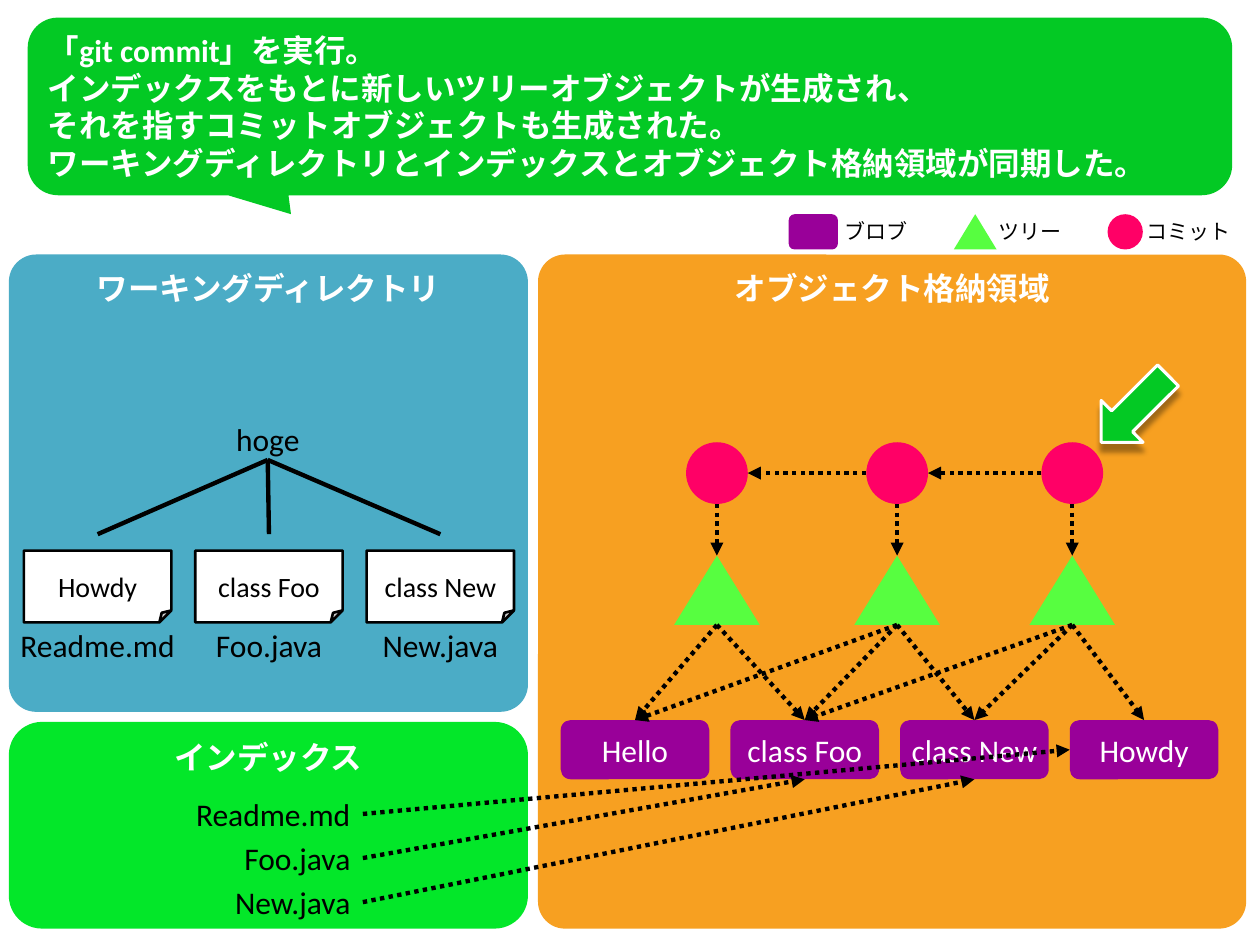
from dataclasses import dataclass
from math import cos, pi, sin
from typing import NamedTuple

from lxml.etree import SubElement
from pptx import Presentation
from pptx.dml.color import RGBColor
from pptx.enum.dml import MSO_LINE
from pptx.enum.shapes import MSO_CONNECTOR, MSO_SHAPE
from pptx.enum.text import MSO_ANCHOR, MSO_AUTO_SIZE, PP_ALIGN
from pptx.oxml.ns import qn
from pptx.util import Emu, Inches, Pt


@dataclass(frozen=True)
class Theme:
    latin: str = "Calibri"
    kana: str = "Noto Sans CJK JP"
    head: int = 18
    note: int = 16
    key: int = 12
    stroke: float = 2.5
    ink: str = "000000"
    paper: str = "FFFFFF"
    call: str = "03C924"
    index: str = "03E729"
    work: str = "4BACC6"
    store: str = "F7A021"
    chip: str = "990099"
    tree: str = "57FE40"
    commit: str = "FF0066"


class Box(NamedTuple):
    x: float
    y: float
    w: float
    h: float


class Panel(NamedTuple):
    text: str
    box: Box
    fill: str
    bend: float


class Key(NamedTuple):
    text: str
    kind: MSO_SHAPE
    fill: str
    icon: Box
    label: Box


THEME = Theme()
deck = Presentation()
deck.slide_width, deck.slide_height = Inches(10), Inches(7.5)
slide = deck.slides.add_slide(deck.slide_layouts[5])
shapes = slide.shapes

# The slide is a grid of 100 columns and 75 rows
COL, ROW = deck.slide_width / 100, deck.slide_height / 75


def cols(n: float) -> Emu:
    return Emu(round(n * COL))


def rows(n: float) -> Emu:
    return Emu(round(n * ROW))


def place(box: Box) -> tuple:
    return cols(box.x), rows(box.y), cols(box.w), rows(box.h)


def tint(hue: str) -> RGBColor:
    return RGBColor.from_string(hue)


def write(par, text: str, size: int, hue: str, bold: bool = False) -> None:
    run = par.add_run()
    run.text = text
    face = THEME.latin if text.isascii() else THEME.kana
    font = run.font
    font.size, font.bold, font.name = Pt(size), bold, face
    font.color.rgb = tint(hue)
    SubElement(font._element, qn("a:ea")).set("typeface", face)


def setup(frame, side: float, anchor=MSO_ANCHOR.MIDDLE) -> None:
    frame.word_wrap, frame.auto_size = True, MSO_AUTO_SIZE.NONE
    frame.vertical_anchor = anchor
    frame.margin_left = frame.margin_right = cols(side)
    frame.margin_top = frame.margin_bottom = rows(0.5)


def paint(shape, fill: str):
    shape.shadow.inherit = False
    shape.fill.solid()
    shape.fill.fore_color.rgb = tint(fill)
    shape.line.fill.background()
    return shape


def draw(kind: MSO_SHAPE, box: Box, fill: str, edge: str = "", width: float = 0):
    shape = paint(shapes.add_shape(kind, *place(box)), fill)
    if edge:
        shape.line.color.rgb, shape.line.width = tint(edge), Pt(width)
    return shape


def label(text: str, box: Box, size: int = THEME.head,
          align=PP_ALIGN.CENTER, side: float = 0):
    shape = shapes.add_textbox(*place(box))
    setup(shape.text_frame, side)
    par = shape.text_frame.paragraphs[0]
    par.alignment = align
    write(par, text, size, THEME.ink)
    return shape


def link(start: tuple, end: tuple, arrow: bool = True):
    line = shapes.add_connector(MSO_CONNECTOR.STRAIGHT, cols(start[0]), rows(start[1]),
                                cols(end[0]), rows(end[1]))
    line.line.color.rgb, line.line.width = tint(THEME.ink), Pt(THEME.stroke)
    props = line._element.spPr
    if arrow:
        line.line.dash_style = MSO_LINE.ROUND_DOT
        SubElement(props.find(qn("a:ln")), qn("a:tailEnd")).set("type", "triangle")
    SubElement(props, qn("a:effectLst"))
    return line


def bubble(box: Box, curve: float, tail: list, steps: int = 12):
    """Rounded outline with a tail on its lower side."""
    right, base = box.x + box.w - curve, box.y + box.h - curve
    left, top = box.x + curve, box.y + curve
    dots = []
    for turn, (x, y) in enumerate([(right, base), (left, base), (left, top), (right, top)]):
        for step in range(steps + 1):
            angle = (turn + step / steps) * pi / 2
            dots.append((x + curve * cos(angle), y + curve * sin(angle)))
        if turn == 0:
            dots += tail
    spots = [(cols(x), rows(y)) for x, y in dots]
    pen = shapes.build_freeform(*spots[0])
    pen.add_line_segments(spots[1:])
    return paint(pen.convert_to_shape(), THEME.call)


# Callout, with the slide title on top of it
call = Box(2.2, 1.4, 95.6, 14.1)
bubble(call, 2.4, [(22.9, 15.5), (23.1, 17), (18.1, 15.5)])
title = shapes.title
title.left, title.top, title.width, title.height = place(call)
setup(title.text_frame, 1.6)
LINES = [
    ["「", "git commit", "」を実行。"],
    ["インデックスをもとに新しいツリーオブジェクトが生成され、"],
    ["それを指すコミットオブジェクトも生成された。"],
    ["ワーキングディレクトリとインデックスとオブジェクト格納領域が同期した。"],
]
for i, parts in enumerate(LINES):
    par = title.text_frame.add_paragraph() if i else title.text_frame.paragraphs[0]
    par.alignment = PP_ALIGN.LEFT
    for part in parts:
        write(par, part, THEME.head, THEME.paper, True)
shapes._spTree.append(title._element)

# Panels
for panel in [
    Panel("インデックス", Box(0.7, 57.3, 41.2, 16.4), THEME.index, 0.16),
    Panel("ワーキングディレクトリ", Box(0.7, 20.2, 41.2, 36.3), THEME.work, 0.06),
    Panel("オブジェクト格納領域", Box(42.7, 20.2, 56.2, 53.5), THEME.store, 0.04),
]:
    shape = draw(MSO_SHAPE.ROUNDED_RECTANGLE, panel.box, panel.fill)
    shape.adjustments[0] = panel.bend
    setup(shape.text_frame, 1, MSO_ANCHOR.TOP)
    par = shape.text_frame.paragraphs[0]
    par.alignment = PP_ALIGN.CENTER
    write(par, panel.text, THEME.head, THEME.paper, True)

# Legend
for key in [
    Key("ブロブ", MSO_SHAPE.ROUNDED_RECTANGLE, THEME.chip,
        Box(62.6, 17, 3.9, 2.8), Box(66, 16.8, 7.1, 3.1)),
    Key("ツリー", MSO_SHAPE.ISOSCELES_TRIANGLE, THEME.tree,
        Box(75.7, 17, 3.4, 2.8), Box(78.2, 16.8, 7.1, 3.1)),
    Key("コミット", MSO_SHAPE.OVAL, THEME.commit,
        Box(87.9, 17, 2.8, 2.8), Box(89.6, 16.8, 9.5, 3.1)),
]:
    draw(key.kind, key.icon, key.fill)
    label(key.text, key.label, THEME.key)

# Working directory: root folder and its files
FILES = [("Readme.md", "Howdy"), ("Foo.java", "class Foo"), ("New.java", "class New")]
root = label("hoge", Box(16, 33.2, 10.5, 3.3))
for i, (name, body) in enumerate(FILES):
    page = Box(1.9 + 13.6 * i, 43.7, 11.7, 5.7)
    draw(MSO_SHAPE.FOLDED_CORNER, page, THEME.paper, THEME.ink, 1.5)
    label(body, page, THEME.note)
    label(name, Box(page.x - 1, 49.6, page.w + 2, 3.1))
    link((21.3, 36.5), (page.x + page.w / 2, 42.4), False).begin_connect(root, 2)

# Stored file contents
chips = []
for i, text in enumerate(["Hello", "class Foo", "class New", "Howdy"]):
    chip = draw(MSO_SHAPE.ROUNDED_RECTANGLE,
                Box(44.5 + 40.4 / 3 * i, 57.15, 11.8, 4.7), THEME.chip)
    setup(chip.text_frame, 0.4)
    par = chip.text_frame.paragraphs[0]
    par.alignment = PP_ALIGN.CENTER
    write(par, text, THEME.head, THEME.paper)
    chips.append(chip)

# Commits point to the previous commit and to a tree, trees point to contents
MIDS = [56.9, 71.2, 85.1]
SIZE, TOP = 4.9, 35.1
for i, (mid, goals) in enumerate(zip(MIDS, [(0, 1), (0, 1, 2), (1, 2, 3)])):
    draw(MSO_SHAPE.ISOSCELES_TRIANGLE, Box(mid - 3.4, 44.1, 6.8, 5.5), THEME.tree)
    draw(MSO_SHAPE.OVAL, Box(mid - SIZE / 2, TOP, SIZE, SIZE), THEME.commit)
    link((mid, TOP + SIZE), (mid, 44.1))
    if i:
        level = TOP + SIZE / 2
        link((mid - SIZE / 2, level), (MIDS[i - 1] + SIZE / 2, level))
    for goal in goals:
        link((mid, 49.6), (mid, 57.2)).end_connect(chips[goal], 0)

# Index entries point to contents
for i, ((name, _), (goal, site)) in enumerate(zip(FILES, [(3, 1), (1, 2), (2, 2)])):
    y = 64.6 + 3.5 * i
    entry = label(name, Box(13.8, y - 1.5, 15, 3), align=PP_ALIGN.RIGHT, side=1)
    line = link((28.8, y), (60, y))
    line.begin_connect(entry, 3)
    line.end_connect(chips[goal], site)

# Marker on the newest commit
mark = draw(MSO_SHAPE.DOWN_ARROW, Box(87.7, 28.7, 4.7, 7.5), THEME.call, THEME.paper, 1.75)
mark.rotation = 45
glow = SubElement(mark._element.spPr.find(qn("a:effectLst")), qn("a:outerShdw"),
                  blurRad=str(Pt(3.1)), dist=str(Pt(5)), dir="5400000", rotWithShape="0")
shade = SubElement(glow, qn("a:srgbClr"), val=THEME.ink)
SubElement(shade, qn("a:alpha"), val="35000")

deck.save("out.pptx")
